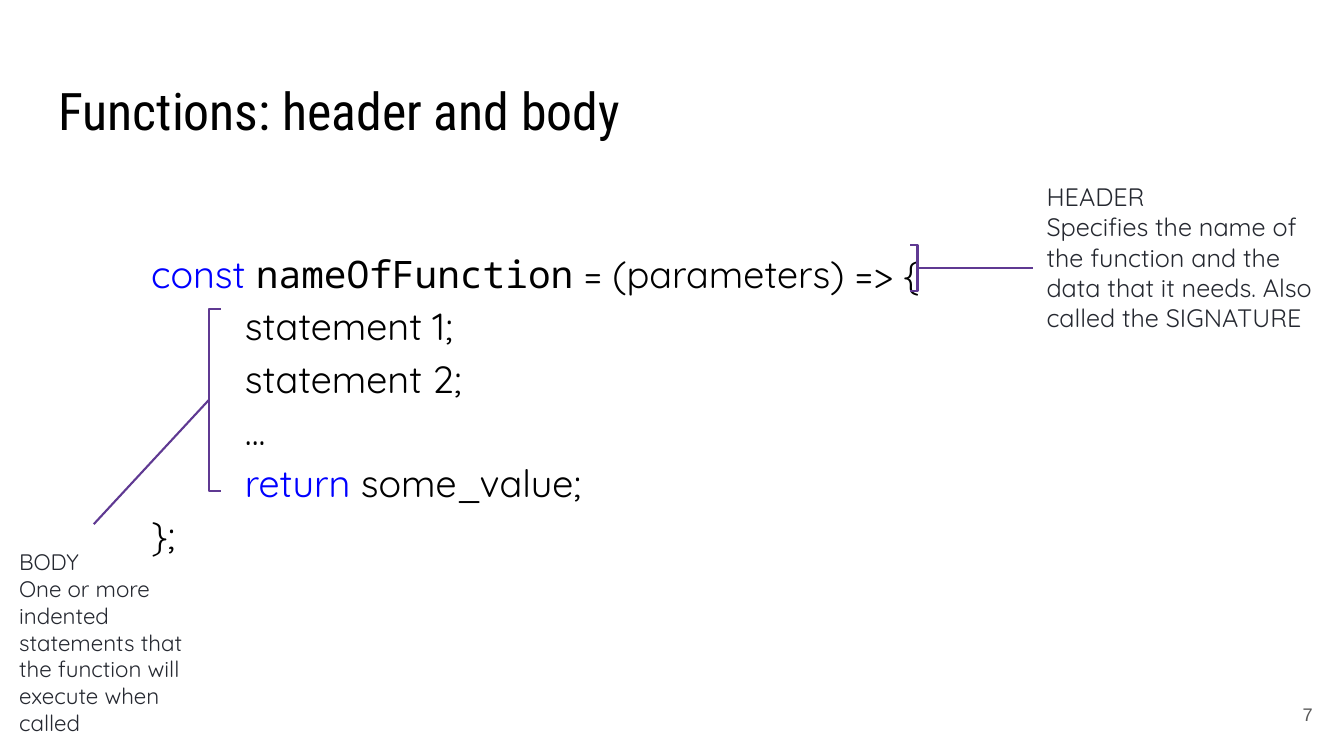
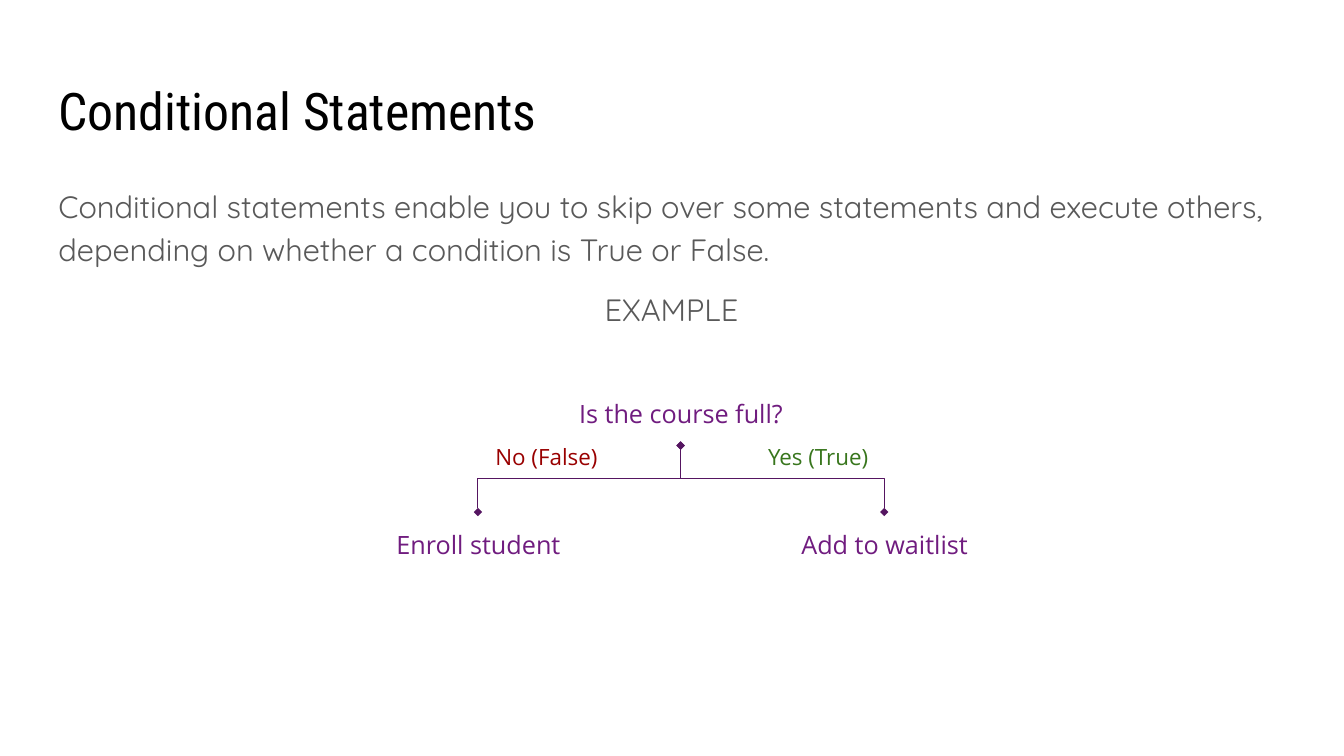
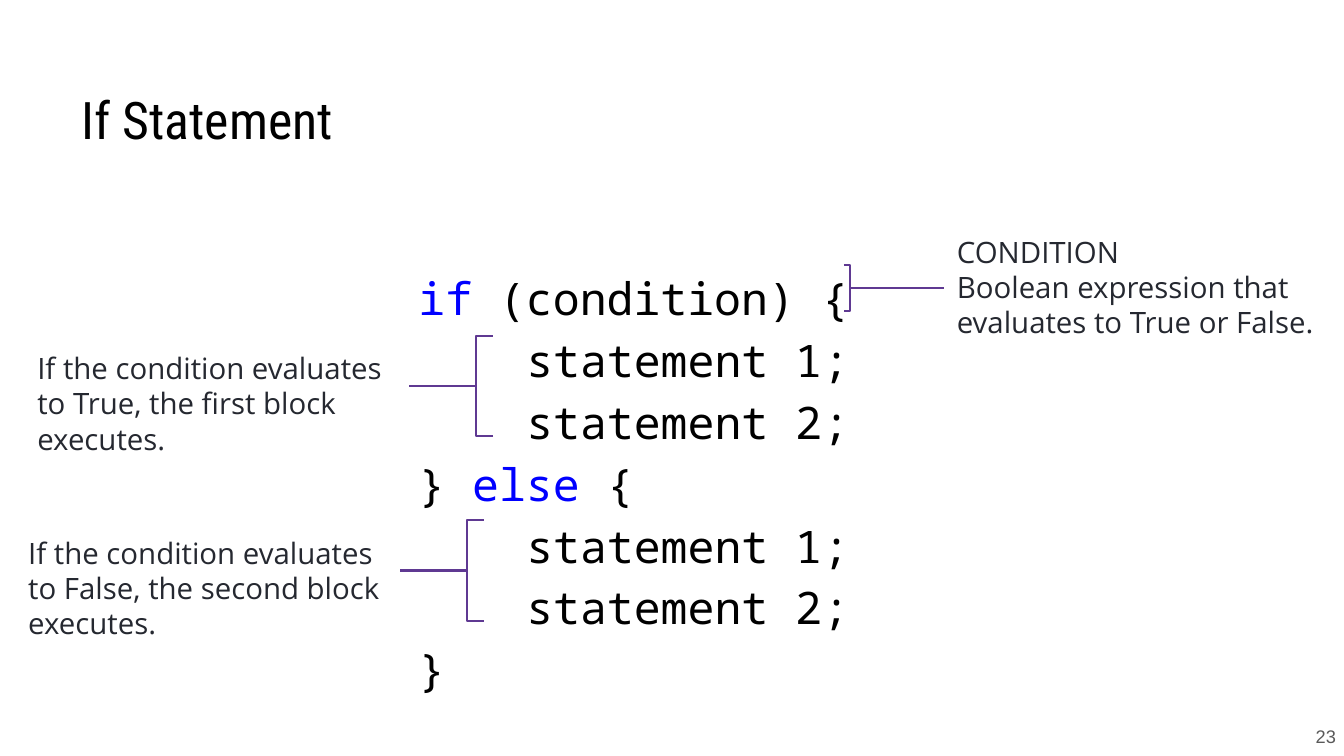
from pptx import Presentation
from pptx.dml.color import RGBColor
from pptx.enum.shapes import MSO_CONNECTOR as CONN, MSO_SHAPE as SHAPE
from pptx.enum.text import MSO_ANCHOR as ANCHOR, MSO_AUTO_SIZE as AUTO, PP_ALIGN as ALIGN
from pptx.oxml.ns import qn
from pptx.util import Inches, Pt
from lxml.etree import SubElement

TITLE_FONT, BODY_FONT, CODE_FONT, LABEL_FONT = "Roboto Condensed", "Quicksand", "Noto Sans Mono", "Open Sans"
BLACK, GREY, NOTE_INK, KEYWORD = "000000", "595959", "252830", "0000FF"
BRACKET, QUESTION, BRANCH = "5F3992", "701C7F", "551561"

# Code lines: (indent level, runs); a run is a text or (text, format)
FUNCTION_CODE = [
    (0, [("const ", {"color": KEYWORD}), ("nameOfFunction", {"font": CODE_FONT}), " = (parameters) => {"]),
    (1, ["statement 1;"]),
    (1, ["statement 2;"]),
    (1, ["..."]),
    (1, [("return", {"color": KEYWORD}), " some_value;"]),
    (0, ["};"]),
]
BLOCK = [(1, ["statement 1;"]), (1, ["statement 2;"])]
IF_CODE = [
    (0, [("if", {"color": KEYWORD}), " (condition) {"]),
    *BLOCK,
    (0, ["} ", ("else ", {"color": KEYWORD}), "{"]),
    *BLOCK,
    (0, ["}"]),
]

# Notes: paragraphs, text box, text format, bracket side and box, end of the leader line
FUNCTION_NOTES = [
    (["HEADER", "Specifies the name of the function and the data that it needs. Also called the SIGNATURE"],
     (10.25, 1.67, 2.98, 1.9), {"size": 18, "font": BODY_FONT},
     "right", (9.03, 2.43, 0.07, 0.46), (10.25, 2.66)),
    (["BODY", "One or more indented statements that the function will execute when called"],
     (0.06, 5.47, 2.22, 1.8), {"size": 16, "font": BODY_FONT, "anchor": ANCHOR.MIDDLE},
     "left", (2.07, 3.07, 0.12, 1.8), (0.93, 5.2)),
]
BLOCK_FORMAT = {"size": 21, "font": LABEL_FONT, "anchor": ANCHOR.MIDDLE}
IF_NOTES = [
    (["CONDITION", "Boolean expression that evaluates to True or False."],
     (9.36, 2.19, 3.92, 1.32), {"size": 21, "font": LABEL_FONT},
     "right", (8.37, 2.63, 0.06, 0.46), (9.36, 2.86)),
    (["If the condition evaluates to True, the first block executes."],
     (0.24, 3.34, 3.82, 1.32), BLOCK_FORMAT,
     "left", (4.72, 3.33, 0.17, 1), (4.06, 3.83)),
    (["If the condition evaluates to False, the second block executes."],
     (0.15, 5.17, 3.82, 1.32), BLOCK_FORMAT,
     "left", (4.63, 5.16, 0.17, 1), (3.97, 5.66)),
]

INTRO = [
    "Conditional statements enable you to skip over some statements and execute others, "
    "depending on whether a condition is True or False.",
    "EXAMPLE",
]
# Decision labels: text, box, size, colour, anchor
DECISION = [
    ("Is the course full?", (5.24, 3.78, 3.03, 0.64), 18, QUESTION, ANCHOR.MIDDLE),
    ("Enroll student", (3.23, 5.08, 3.03, 0.64), 18, QUESTION, ANCHOR.MIDDLE),
    ("Add to waitlist", (7.36, 5.08, 2.83, 0.64), 18, QUESTION, ANCHOR.MIDDLE),
    ("No (False)", (4.76, 4.3, 1.32, 0.43), 16, "990000", ANCHOR.TOP),
    ("Yes (True)", (7.46, 4.3, 1.31, 0.43), 16, "38761D", ANCHOR.TOP),
]
NO_END, ROOT, YES_END = (4.74, 5.08), (6.75, 4.42), (8.77, 5.08)


def rgb(color):
    return RGBColor.from_string(color)


def inches(values):
    return [Inches(v) for v in values]


def write(tf, paras, size=18, font=BODY_FONT, color=BLACK, align=ALIGN.LEFT,
          anchor=ANCHOR.TOP, spacing=None, inset=0.13):
    """Fill a text frame; a paragraph is a text or a list of runs."""
    tf.word_wrap, tf.auto_size, tf.vertical_anchor = True, AUTO.NONE, anchor
    tf.margin_left = tf.margin_right = tf.margin_top = tf.margin_bottom = Inches(inset)
    for i, runs in enumerate(paras):
        p = tf.add_paragraph() if i else tf.paragraphs[0]
        p.alignment = align
        if spacing:
            p.line_spacing = spacing
        for run in [runs] if isinstance(runs, str) else runs:
            text, own = (run, {}) if isinstance(run, str) else run
            r = p.add_run()
            r.text = text
            r.font.size = Pt(size)
            r.font.name = own.get("font", font)
            r.font.color.rgb = rgb(own.get("color", color))


def add_text(s, paras, box, **fmt):
    tf = s.shapes.add_textbox(*inches(box)).text_frame
    write(tf, paras, **fmt)
    return tf


def add_slide(prs, title, left=0.45, number=None, number_at=(12.35, 6.8), **title_fmt):
    s = prs.slides.add_slide(prs.slide_layouts[5])
    sp = s.shapes.title
    sp.left, sp.top, sp.width, sp.height = inches((left, 0.65, 12.42, 0.83))
    write(sp.text_frame, [title], size=37, font=TITLE_FONT, **title_fmt)
    if number:
        add_text(s, [number], (*number_at, 0.8, 0.57), size=13, font="Arial", color=GREY,
                 align=ALIGN.RIGHT, anchor=ANCHOR.MIDDLE)
    return s


def add_code(s, lines, box, indent, **fmt):
    tf = add_text(s, [runs for _, runs in lines], box, anchor=ANCHOR.MIDDLE, spacing=1.15, **fmt)
    for p, (level, _) in zip(tf.paragraphs, lines):
        pPr = p._p.get_or_add_pPr()
        pPr.set("marL", str(Inches(indent * level)))
        pPr.set("indent", "0")


def add_line(s, kind, start, end, color, width):
    line = s.shapes.add_connector(kind, *inches((*start, *end)))
    line.line.color.rgb = rgb(color)
    line.line.width = Pt(width)
    SubElement(line._element.spPr, qn("a:effectLst"))
    return line


def add_note(s, paras, box, fmt, side, bracket_box, leader_end):
    """Text joined by a leader line to the middle of a bracket."""
    add_text(s, paras, box, color=NOTE_INK, **fmt)
    preset = SHAPE.LEFT_BRACKET if side == "left" else SHAPE.RIGHT_BRACKET
    sp = s.shapes.add_shape(preset, *inches(bracket_box))
    sp.adjustments[0] = 0
    sp.shadow.inherit = False
    sp.fill.background()
    sp.line.color.rgb = rgb(BRACKET)
    sp.line.width = Pt(1.5)
    x, y, w, h = bracket_box
    spine = x if side == "left" else x + w
    add_line(s, CONN.STRAIGHT, (spine, y + h / 2), leader_end, BRACKET, 1.5)


def add_branch(s, start, end):
    """Elbow that leaves and arrives vertically: a level elbow turned by 270 degrees."""
    (x1, y1), (x2, y2) = start, end
    cx, cy = (x1 + x2) / 2, (y1 + y2) / 2
    half_w, half_h = (y1 - y2) / 2, (x2 - x1) / 2
    line = add_line(s, CONN.ELBOW, (cx - half_w, cy - half_h), (cx + half_w, cy + half_h), BRANCH, 0.75)
    line._element.spPr.find(qn("a:xfrm")).set("rot", str(270 * 60000))
    ln = line.line._get_or_add_ln()
    for tag in ("a:headEnd", "a:tailEnd"):
        SubElement(ln, qn(tag), type="diamond")


def function_slide(prs):
    s = add_slide(prs, "Functions: header and body", number="7")
    add_code(s, FUNCTION_CODE, (1.37, 1.82, 9.01, 4.31), indent=0.93, size=27)
    for note in FUNCTION_NOTES:
        add_note(s, *note)


def conditional_slide(prs):
    s = add_slide(prs, "Conditional Statements")
    tf = add_text(s, INTRO, (0.45, 1.68, 12.42, 1.91), size=22, color=GREY, spacing=1.15)
    tf.paragraphs[1].alignment = ALIGN.CENTER
    tf.paragraphs[1].space_before = Pt(13)
    for text, box, size, color, anchor in DECISION:
        add_text(s, [text], box, size=size, font=LABEL_FONT, color=color,
                 align=ALIGN.CENTER, anchor=anchor, inset=0.1)
    add_branch(s, NO_END, ROOT)
    add_branch(s, ROOT, YES_END)


def if_slide(prs):
    s = add_slide(prs, "If Statement", left=0.68, number="23", number_at=(12.58, 7.02), spacing=1.15)
    add_code(s, IF_CODE, (4.02, 3.01, 4.73, 3.49), indent=1.07, size=32, font=CODE_FONT)
    for note in IF_NOTES:
        add_note(s, *note)


def main():
    prs = Presentation()
    prs.slide_width, prs.slide_height = inches((13.33, 7.5))
    for build in (function_slide, conditional_slide, if_slide):
        build(prs)
    prs.save("out.pptx")


if __name__ == "__main__":
    main()
